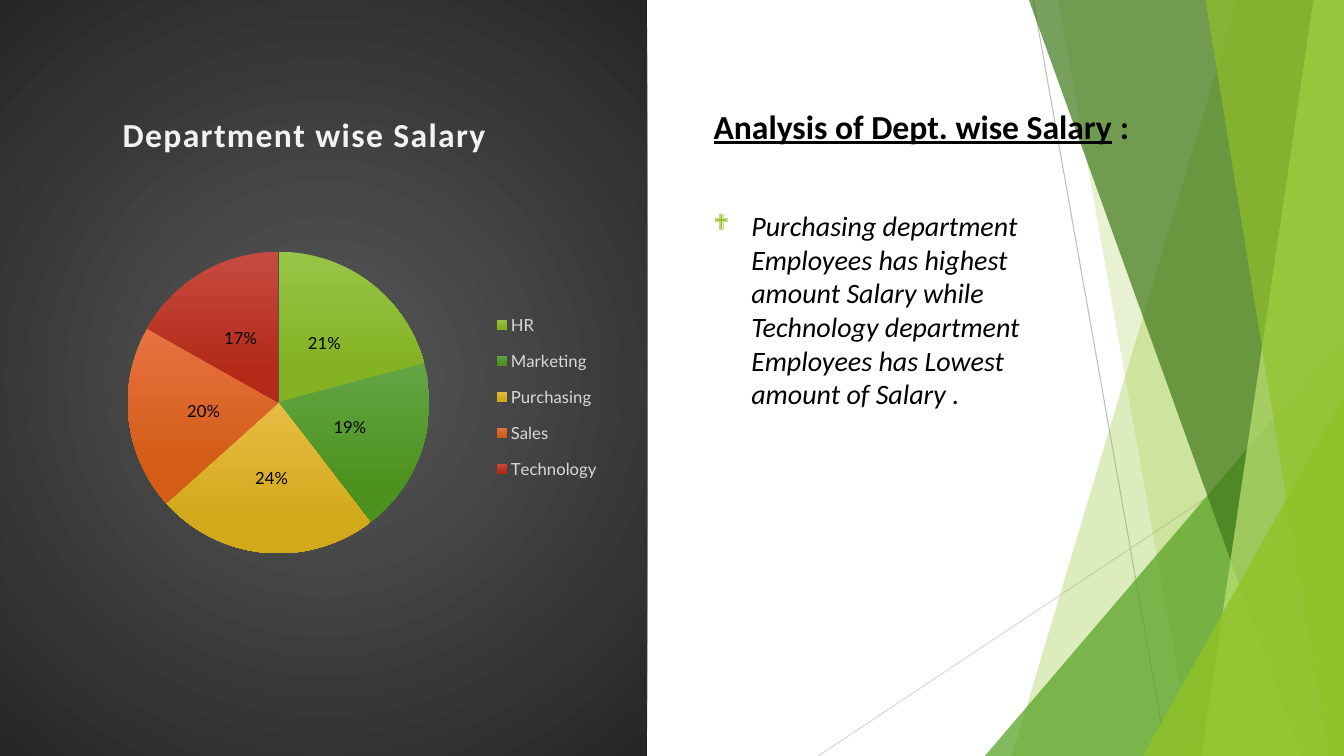
from lxml import etree
from pptx import Presentation
from pptx.chart.data import CategoryChartData
from pptx.dml.color import RGBColor
from pptx.enum.chart import XL_CHART_TYPE as ChartType
from pptx.enum.chart import XL_LABEL_POSITION as LabelPosition
from pptx.enum.chart import XL_LEGEND_POSITION as LegendPosition
from pptx.enum.shapes import MSO_CONNECTOR as Connector
from pptx.enum.shapes import MSO_SHAPE as Shape
from pptx.enum.text import MSO_ANCHOR as Anchor
from pptx.enum.text import MSO_AUTO_SIZE as AutoSize
from pptx.enum.text import PP_ALIGN as Align
from pptx.oxml import parse_xml
from pptx.oxml.ns import nsdecls, qn
from pptx.util import Cm, Pt

WIDTH, HEIGHT = 33.87, 19.05
LIME, GREEN, DARK_GREEN, PALE_LIME = "90C226", "54A021", "3F7819", "C0E474"

# department, share, top and bottom colour of its slice
DEPARTMENTS = [
    ("HR", 21, "97C547", "84B223"),
    ("Marketing", 19, "63A545", "4D921E"),
    ("Purchasing", 24, "E7BC43", "D2A91B"),
    ("Sales", 20, "E87242", "D35D16"),
    ("Technology", 17, "C74B42", "B32B18"),
]


def colour(hex_text):
    return RGBColor.from_string(hex_text)


def style_font(font, name, size, hex_text, bold=False, italic=False):
    font.name, font.size = name, Pt(size)
    font.bold, font.italic = bold, italic
    font.color.rgb = colour(hex_text)


def add_run(paragraph, text, *style, underline=False, **emphasis):
    run = paragraph.add_run()
    run.text = text
    style_font(run.font, *style, **emphasis)
    run.font.underline = underline


def place(shape, left, top, width, height):
    shape.left, shape.top = Cm(left), Cm(top)
    shape.width, shape.height = Cm(width), Cm(height)


def tint(shape, hex_text, opacity):
    """Fill with a see-through colour, without outline or shadow."""
    shape.shadow.inherit = False
    shape.line.fill.background()
    shape.fill.solid()
    shape.fill.fore_color.rgb = colour(hex_text)
    srgb = shape.fill._xPr.find(".//" + qn("a:srgbClr"))
    etree.SubElement(srgb, qn("a:alpha")).set("val", str(opacity * 1000))


def add_strip(slide, top_x, bottom_x, hex_text, opacity):
    """Add a facet from a slanted left edge to the right side of the slide."""
    builder = slide.shapes.build_freeform(Cm(top_x), 0)
    corners = [(WIDTH, 0), (WIDTH, HEIGHT), (bottom_x, HEIGHT)]
    builder.add_line_segments([(Cm(x), Cm(y)) for x, y in corners])
    tint(builder.convert_to_shape(), hex_text, opacity)


def add_corner(slide, left, top, hex_text, opacity):
    """Add a triangle that fills the lower right corner."""
    triangle = slide.shapes.add_shape(
        Shape.ISOSCELES_TRIANGLE, Cm(left), Cm(top), Cm(WIDTH - left), Cm(HEIGHT - top))
    triangle.adjustments[0] = 1.0
    tint(triangle, hex_text, opacity)


def add_hairline(slide, x1, y1, x2, y2, hex_text):
    hairline = slide.shapes.add_connector(
        Connector.STRAIGHT, Cm(x1), Cm(y1), Cm(x2), Cm(y2))
    hairline.line.color.rgb = colour(hex_text)
    hairline.line.width = Pt(0.75)
    etree.SubElement(hairline._element.spPr, qn("a:effectLst"))


def add_facets(slide):
    add_hairline(slide, 26.04, 0, 29.41, HEIGHT, "BFBFBF")
    add_hairline(slide, WIDTH, 10.24, 20.62, HEIGHT, "D9D9D9")
    add_strip(slide, 31.19, 25.5, LIME, 30)
    add_strip(slide, 26.67, 30.05, LIME, 20)
    add_corner(slide, 24.82, 8.46, GREEN, 72)
    add_strip(slide, 25.93, 32.79, DARK_GREEN, 70)
    add_strip(slide, 33.1, 30.28, PALE_LIME, 70)
    add_strip(slide, 30.38, 33.48, LIME, 65)
    add_corner(slide, 28.8, 9.98, LIME, 80)


def prepare_text(placeholder, anchor):
    """Bring a placeholder to the front and return its first paragraph."""
    placeholder.element.getparent().append(placeholder.element)
    frame = placeholder.text_frame
    frame.word_wrap = True
    frame.auto_size = AutoSize.NONE
    frame.vertical_anchor = anchor
    paragraph = frame.paragraphs[0]
    paragraph.alignment = Align.LEFT
    return paragraph


def fill_heading(heading):
    place(heading, 17.73, 2.31, 12.78, 1.65)
    paragraph = prepare_text(heading, Anchor.BOTTOM)
    heading.text_frame.margin_bottom = Cm(0.28)
    style = ("Calibri", 24, "000000")
    add_run(paragraph, "Analysis of Dept. wise Salary", *style, bold=True, underline=True)
    add_run(paragraph, " :", *style, bold=True)


def fill_findings(findings):
    place(findings, 17.73, 5.13, 9.04, 4.83)
    paragraph = prepare_text(findings, Anchor.TOP)
    paragraph.space_before = Pt(10)
    add_bullet(paragraph, "❖", LIME, 0.95)
    add_run(paragraph, "Purchasing department Employees has highest amount Salary while "
            "Technology department Employees has Lowest amount of Salary .",
            "Calibri", 20, "000000", italic=True)


def add_bullet(paragraph, symbol, hex_text, indent):
    properties = paragraph._p.get_or_add_pPr()
    properties.set("marL", str(Cm(indent)))
    properties.set("indent", str(-Cm(indent)))
    bullet_colour = etree.SubElement(properties, qn("a:buClr"))
    etree.SubElement(bullet_colour, qn("a:srgbClr")).set("val", hex_text)
    etree.SubElement(properties, qn("a:buSzPct")).set("val", "80000")
    etree.SubElement(properties, qn("a:buFont")).set("typeface", "Wingdings")
    etree.SubElement(properties, qn("a:buChar")).set("char", symbol)


def gradient_properties(start, end, end_percent, direction):
    """Return chart shape properties with a two-colour gradient and no line."""
    return parse_xml(
        f'<c:spPr {nsdecls("c", "a")}><a:gradFill><a:gsLst>'
        f'<a:gs pos="0"><a:srgbClr val="{start}"/></a:gs>'
        f'<a:gs pos="{end_percent * 1000}"><a:srgbClr val="{end}"/></a:gs>'
        f'</a:gsLst>{direction}</a:gradFill><a:ln><a:noFill/></a:ln></c:spPr>')


def set_layout(part, **fractions):
    """Pin a chart part by fractions of the chart area."""
    for old in part.findall(qn("c:layout")):
        part.remove(old)
    layout = etree.Element(qn("c:layout"))
    manual = etree.SubElement(layout, qn("c:manualLayout"))
    if part.tag == qn("c:plotArea"):
        etree.SubElement(manual, qn("c:layoutTarget")).set("val", "inner")
    for mode in ("xMode", "yMode"):
        etree.SubElement(manual, qn(f"c:{mode}")).set("val", "edge")
    for key, value in fractions.items():
        etree.SubElement(manual, qn(f"c:{key}")).set("val", str(value))
    leading = [child for child in part if child.tag in (qn("c:tx"), qn("c:legendPos"))]
    part.insert(len(leading), layout)


def add_salary_chart(slide):
    salaries = CategoryChartData()
    salaries.categories = [department[0] for department in DEPARTMENTS]
    salaries.add_series("Series 1", [department[1] for department in DEPARTMENTS])
    chart = slide.shapes.add_chart(
        ChartType.PIE, 0, 0, Cm(16.31), Cm(HEIGHT), salaries).chart
    style_font(chart.font, "Lato", 10, "000000")
    chart_space = chart._chartSpace
    chart_space.find(qn("c:chart")).addnext(gradient_properties(
        "595959", "262626", 100,
        '<a:path path="circle"><a:fillToRect l="50000" t="50000" r="50000" b="50000"/></a:path>'))
    set_layout(chart_space.find(".//" + qn("c:plotArea")), x=0.195, y=0.333, w=0.471, h=0.399)

    chart.has_title = True
    title = chart.chart_title
    title_line = title.text_frame.paragraphs[0]
    add_run(title_line, "Department wise Salary", "Calibri", 24, "F2F2F2", bold=True)
    title_line.runs[0].font._element.set("spc", "100")
    set_layout(title._element, x=0.18, y=0.14)

    chart.has_legend = True
    legend = chart.legend
    legend.position = LegendPosition.RIGHT
    legend.include_in_layout = False
    style_font(legend.font, "Lato", 11.9, "D9D9D9")
    set_layout(legend._element, x=0.75, y=0.395, w=0.19, h=0.26)

    pie = chart.plots[0]
    pie.vary_by_categories = True
    pie.has_data_labels = True
    labels = pie.data_labels
    labels.show_percentage, labels.show_value = True, False
    labels.number_format, labels.number_format_is_linked = "0%", False
    labels.position = LabelPosition.CENTER
    style_font(labels.font, "Lato", 11.9, "000000")
    for index, (_, _, top, bottom) in enumerate(DEPARTMENTS):
        slice_properties = pie.series[0].points[index].format.fill._xPr
        slice_properties.getparent().replace(slice_properties, gradient_properties(
            top, bottom, 78, '<a:lin ang="5400000" scaled="0"/>'))


def main():
    deck = Presentation()
    deck.slide_width, deck.slide_height = Cm(WIDTH), Cm(HEIGHT)
    slide = deck.slides.add_slide(deck.slide_layouts[0])
    add_facets(slide)
    fill_heading(slide.shapes.title)
    fill_findings(slide.placeholders[1])
    add_salary_chart(slide)
    deck.save("out.pptx")


if __name__ == "__main__":
    main()
